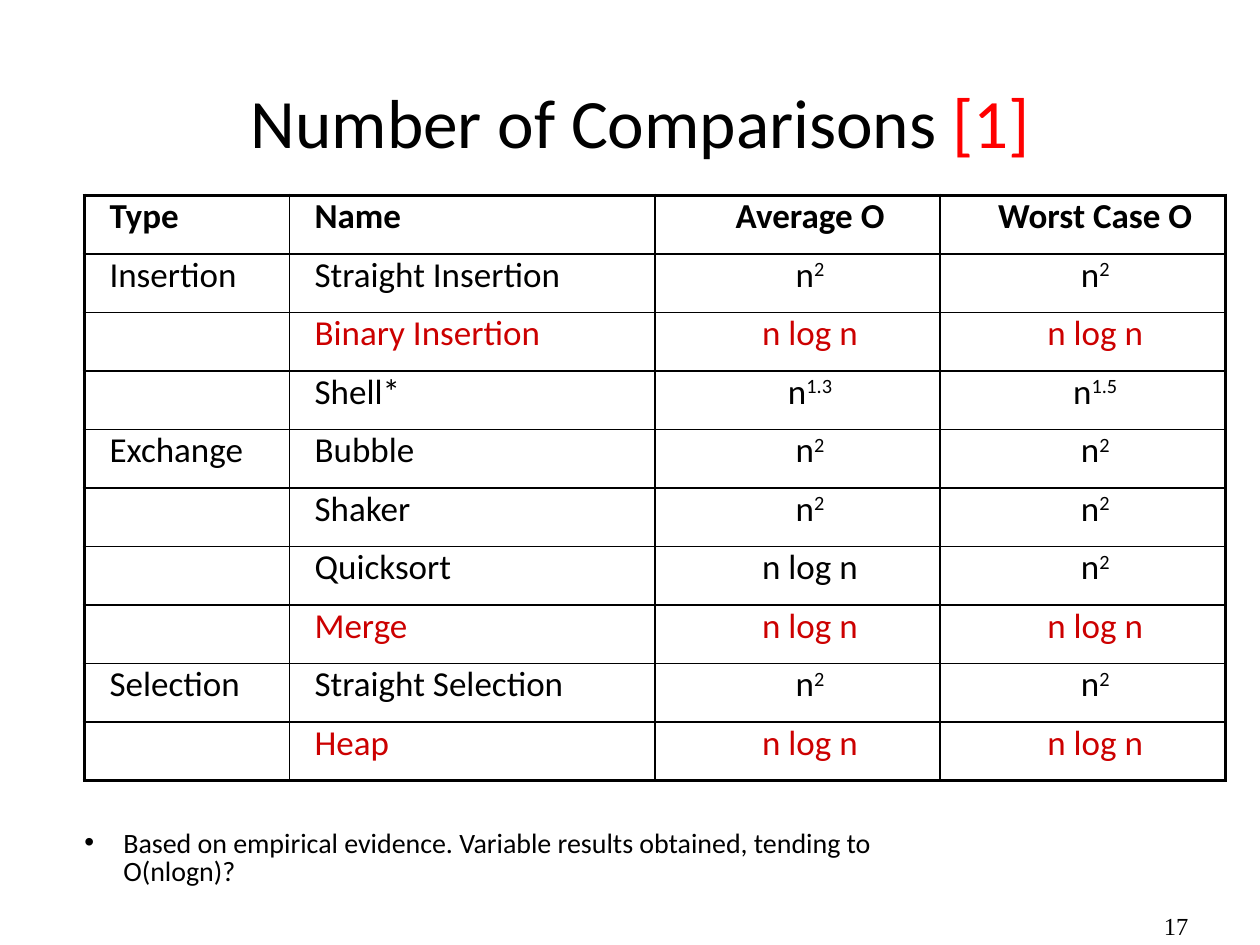
from lxml import etree
from pptx import Presentation
from pptx.dml.color import RGBColor
from pptx.enum.text import MSO_ANCHOR, MSO_AUTO_SIZE, PP_ALIGN
from pptx.oxml.ns import qn
from pptx.util import Pt

CENTER, LEFT = PP_ALIGN.CENTER, PP_ALIGN.LEFT
TOP, MIDDLE = MSO_ANCHOR.TOP, MSO_ANCHOR.MIDDLE
NO_FIT = MSO_AUTO_SIZE.NONE

COLORS = {"text": "000000", "title_mark": "FF0000", "fast": "CC0000"}
FONT = "Calibri"
THIN, THICK = 1, 2.25

COLUMN_WIDTHS = [117.2, 208.8, 163, 163]
ROW_HEIGHT = 33.45
HEADERS = ["Type", "Name", "Average O", "Worst Case O"]
N_LOG_N = "n log n"
# A caret separates a base from its exponent
ROWS = [
    ["Insertion", "Straight Insertion", "n^2", "n^2"],
    ["", "Binary Insertion", N_LOG_N, N_LOG_N],
    ["", "Shell*", "n^1.3", "n^1.5"],
    ["Exchange", "Bubble", "n^2", "n^2"],
    ["", "Shaker", "n^2", "n^2"],
    ["", "Quicksort", N_LOG_N, "n^2"],
    ["", "Merge", N_LOG_N, N_LOG_N],
    ["Selection", "Straight Selection", "n^2", "n^2"],
    ["", "Heap", N_LOG_N, N_LOG_N],
]


def place(sp, left, top, width, height):
    sp.left, sp.top, sp.width, sp.height = Pt(left), Pt(top), Pt(width), Pt(height)


def set_font(font, size, color="text", name=FONT, bold=False):
    font.name, font.size, font.bold = name, Pt(size), bold
    font.color.rgb = RGBColor.from_string(COLORS[color])


def set_margins(target):
    target.margin_left = target.margin_right = 0
    target.margin_top = target.margin_bottom = 0


def add_title(s):
    sp = s.shapes.title
    place(sp, 60, 43.2, 612, 51.1)
    tf = sp.text_frame
    tf.auto_size, tf.vertical_anchor = NO_FIT, MIDDLE
    p = tf.paragraphs[0]
    p.alignment = CENTER
    for text, color in [("Number of Comparisons ", "text"), ("[1]", "title_mark")]:
        r = p.add_run()
        r.text = text
        set_font(r.font, 39.6, color)


def set_borders(cell, widths):
    tcPr = cell._tc.get_or_add_tcPr()
    for i, (side, width) in enumerate(widths.items()):
        ln = etree.Element(qn(f"a:ln{side}"), w=str(Pt(width)))
        fill = etree.SubElement(ln, qn("a:solidFill"))
        etree.SubElement(fill, qn("a:srgbClr"), val=COLORS["text"])
        tcPr.insert(i, ln)


def fill_cell(cell, text, alignment, color, bold):
    cell.fill.background()
    set_margins(cell)
    cell.vertical_anchor = TOP
    p = cell.text_frame.paragraphs[0]
    p.alignment = alignment
    set_font(p.font, 20, color, bold=bold)
    p._p.get_or_add_pPr().set("indent", str(Pt(14.4)))
    base, _, exponent = text.partition("^")
    if base:
        p.add_run().text = base
    if exponent:
        r = p.add_run()
        r.text = exponent
        r._r.get_or_add_rPr().set("baseline", "30000")


def add_comparison_table(s):
    data = [HEADERS] + ROWS
    last_row, last_col = len(data) - 1, len(HEADERS) - 1
    frame = s.shapes.add_table(len(data), len(HEADERS), Pt(48.2), Pt(111.6),
                               Pt(sum(COLUMN_WIDTHS)), Pt(ROW_HEIGHT * len(data)))
    table = frame.table
    table.first_row = table.horz_banding = False
    for column, width in zip(table.columns, COLUMN_WIDTHS):
        column.width = Pt(width)
    for i, values in enumerate(data):
        table.rows[i].height = Pt(ROW_HEIGHT)
        # Methods with n log n in both cases stand out
        color = "fast" if values[2:] == [N_LOG_N, N_LOG_N] else "text"
        for j, text in enumerate(values):
            cell = table.cell(i, j)
            fill_cell(cell, text, CENTER if j >= 2 else LEFT, color, i == 0)
            set_borders(cell, {
                "L": THICK if j == 0 else THIN,
                "R": THICK if j == last_col else THIN,
                "T": THICK if i == 0 else THIN,
                "B": THICK if i == last_row else THIN,
            })


def add_page_number(s):
    sp = s.shapes.add_textbox(Pt(620.6), Pt(519.8), Pt(99.4), Pt(20.2))
    tf = sp.text_frame
    tf.word_wrap = True
    p = tf.paragraphs[0]
    p.text = " 17"
    p.alignment, p.line_spacing = CENTER, 0.85
    set_font(p.font, 14, name="Times New Roman")


def add_note(s):
    sp = s.placeholders[1]
    place(sp, 48.2, 474.5, 499, 59)
    tf = sp.text_frame
    tf.auto_size, tf.vertical_anchor = NO_FIT, TOP
    set_margins(tf)
    p = tf.paragraphs[0]
    p.text = ("Based on empirical evidence. Variable results obtained, "
              "tending to O(nlogn)?")
    p.line_spacing, p.space_before = 0.85, Pt(8)
    set_font(p.font, 16)
    pPr = p._p.get_or_add_pPr()
    pPr.set("marL", str(Pt(22.3)))
    pPr.set("indent", str(Pt(-22.3)))


def main():
    prs = Presentation()
    prs.slide_width, prs.slide_height = Pt(720), Pt(540)
    s = prs.slides.add_slide(prs.slide_layouts[1])
    add_title(s)
    add_comparison_table(s)
    add_page_number(s)
    add_note(s)
    prs.save("out.pptx")


if __name__ == "__main__":
    main()
